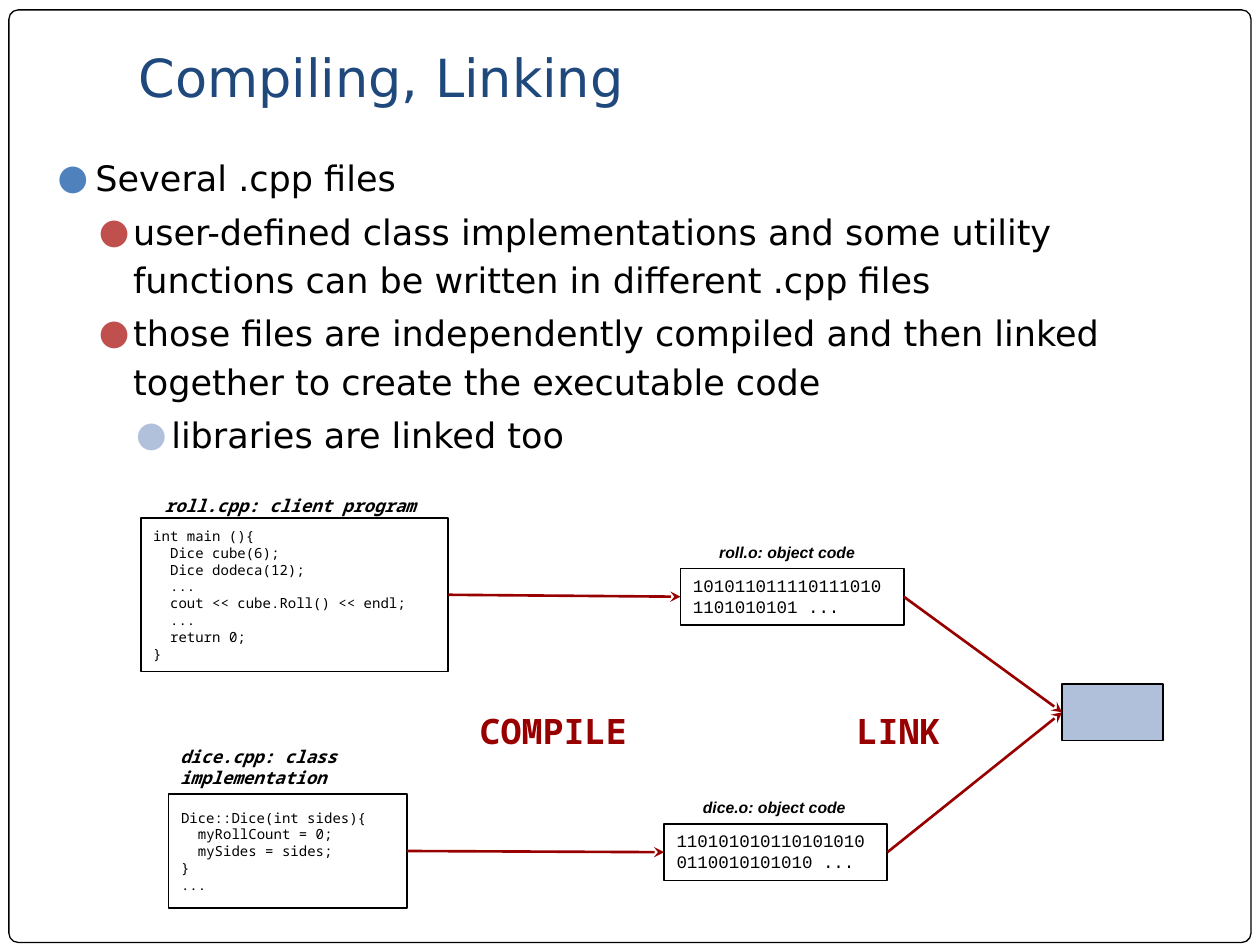
from lxml.etree import SubElement
from pptx import Presentation
from pptx.dml.color import RGBColor
from pptx.enum.shapes import MSO_CONNECTOR, MSO_SHAPE
from pptx.enum.text import MSO_ANCHOR, MSO_AUTO_SIZE, PP_ALIGN
from pptx.oxml.ns import qn
from pptx.util import Cm, Pt

SANS, MONO = "DejaVu Sans", "Noto Sans Mono"
BLACK, WHITE, RED = "000000", "FFFFFF", "980000"

MAIN = ["int main (){", "  Dice cube(6);", "  Dice dodeca(12);", "  ...",
        "  cout << cube.Roll() << endl;", "  ...", "  return 0;", "}"]
DICE = ["Dice::Dice(int sides){", "  myRollCount = 0;",
        "  mySides = sides;", "}", "..."]
POINTS = [
    (0, "Several .cpp files"),
    (1, "user-defined class implementations and some utility "
        "functions can be written in different .cpp files"),
    (1, "those files are independently compiled and then linked "
        "together to create the executable code"),
    (2, "libraries are linked too"),
]
LEVELS = [(0.76, -0.76, "4F81BD"), (1.52, -0.69, "C0504D"),
          (2.29, -0.71, "B2C1DB")]


def color(code):
    return RGBColor.from_string(code)


def style(para, face, size, code=BLACK, bold=False, slant=False):
    font = para.font
    font.name, font.size = face, Pt(size)
    font.bold, font.italic = bold, slant
    font.color.rgb = color(code)
    para.alignment = PP_ALIGN.LEFT


def indent(para, left, first=0):
    props = para._p.get_or_add_pPr()
    props.set("marL", str(Cm(left)))
    props.set("indent", str(Cm(first)))
    return props


def place(shape, spot):
    shape.left, shape.top, shape.width, shape.height = map(Cm, spot)


def add_box(slide, spot, fill=None, width=1, kind=MSO_SHAPE.RECTANGLE):
    box = slide.shapes.add_shape(kind, *map(Cm, spot))
    box.shadow.inherit = False
    if fill:
        box.fill.solid()
        box.fill.fore_color.rgb = color(fill)
    else:
        box.fill.background()
    box.line.color.rgb = color(BLACK)
    box.line.width = Pt(width)
    return box


def add_frame(slide):
    frame = add_box(slide, (0.18, 0.2, 25.04, 18.8), WHITE, 0.75,
                    MSO_SHAPE.ROUNDED_RECTANGLE)
    frame.adjustments[0] = 0.01
    tree = frame.element.getparent()
    tree.insert(2, frame.element)


def add_code(slide, spot, lines, face=MONO, size=8, fill=WHITE,
             anchor=MSO_ANCHOR.MIDDLE):
    box = add_box(slide, spot, fill)
    frame = box.text_frame
    frame.word_wrap = True
    frame.vertical_anchor = anchor
    for num, line in enumerate(lines):
        para = frame.add_paragraph() if num else frame.paragraphs[0]
        para.text = line.strip()
        style(para, face, size)
        if line.startswith(" "):
            indent(para, 0.34)
    return box


def add_bits(slide, spot, text):
    return add_code(slide, spot, [text], "Courier New", 10, None,
                    MSO_ANCHOR.TOP)


def add_label(slide, spot, text, face, size, code=BLACK, slant=True):
    frame = slide.shapes.add_textbox(*map(Cm, spot)).text_frame
    frame.word_wrap = True
    if slant:
        frame.vertical_anchor = MSO_ANCHOR.MIDDLE
    else:
        frame.margin_top = frame.margin_bottom = Cm(0.25)
    para = frame.paragraphs[0]
    para.text = text
    style(para, face, size, code, True, slant)


def add_arrow(slide, start, end):
    link = slide.shapes.add_connector(MSO_CONNECTOR.STRAIGHT, 0, 0, 0, 0)
    link.begin_connect(start, 3)
    link.end_connect(end, 1)
    link.line.color.rgb = color(RED)
    link.line.width = Pt(1.5)
    SubElement(link.line._get_or_add_ln(), qn("a:tailEnd"), type="stealth")
    SubElement(link.element.spPr, qn("a:effectLst"))


def set_title(slide):
    title = slide.shapes.title
    place(title, (2.54, 0.46, 21.59, 1.96))
    frame = title.text_frame
    frame.text = "Compiling, Linking"
    frame.auto_size = MSO_AUTO_SIZE.NONE
    frame.vertical_anchor = MSO_ANCHOR.BOTTOM
    frame.margin_bottom = Cm(0.25)
    style(frame.paragraphs[0], SANS, 30, "1F497D")


def set_body(slide):
    body = slide.placeholders[1]
    place(body, (0.91, 2.9, 23.22, 6.76))
    frame = body.text_frame
    frame.auto_size = MSO_AUTO_SIZE.NONE
    for num, (level, text) in enumerate(POINTS):
        para = frame.add_paragraph() if num else frame.paragraphs[0]
        para.text, para.level = text, level
        style(para, SANS, 20)
        para.line_spacing = 1.15
        para.space_before = Pt(3 if level else 0)
        left, first, code = LEVELS[level]
        props = indent(para, left, first)
        tint = SubElement(props, qn("a:buClr"))
        SubElement(tint, qn("a:srgbClr"), val=code)
        SubElement(props, qn("a:buFont"), typeface=SANS)
        SubElement(props, qn("a:buChar"), char="●")
        fonts = props.find(qn("a:defRPr"))
        props.append(fonts)


def main():
    deck = Presentation()
    deck.slide_width, deck.slide_height = Cm(25.4), Cm(19.05)
    slide = deck.slides.add_slide(deck.slide_layouts[1])
    add_frame(slide)
    set_title(slide)
    set_body(slide)

    roll = add_code(slide, (2.84, 10.44, 6.2, 3.1), MAIN)
    dice = add_code(slide, (3.4, 16, 4.8, 2.31), DICE)
    roll_o = add_bits(slide, (13.72, 11.46, 4.5, 1.14),
                      "1010110111101110101101010101 ...")
    dice_o = add_bits(slide, (13.39, 16.61, 4.5, 1.14),
                      "1101010101101010100110010101010 ...")
    prog = add_box(slide, (21.41, 13.79, 2.03, 1.14), "B1C0DA")

    for spot, text, face, size in [
        ((3.07, 9.83, 5.97, 0.71), "roll.cpp: client program", MONO, 10),
        ((3.38, 15.11, 4.8, 0.71), "dice.cpp: class implementation", MONO, 10),
        ((14.25, 10.8, 3.51, 0.66), "roll.o: object code", "Arial", 9),
        ((13.92, 15.95, 3.51, 0.66), "dice.o: object code", "Arial", 9),
    ]:
        add_label(slide, spot, text, face, size)
    for left, text in [(9.42, "COMPILE"), (17.02, "LINK")]:
        add_label(slide, (left, 14.05, 3.71, 1.24), text, MONO, 20, RED, False)

    for start, end in [(roll, roll_o), (dice, dice_o),
                       (roll_o, prog), (dice_o, prog)]:
        add_arrow(slide, start, end)
    deck.save("out.pptx")


if __name__ == "__main__":
    main()
